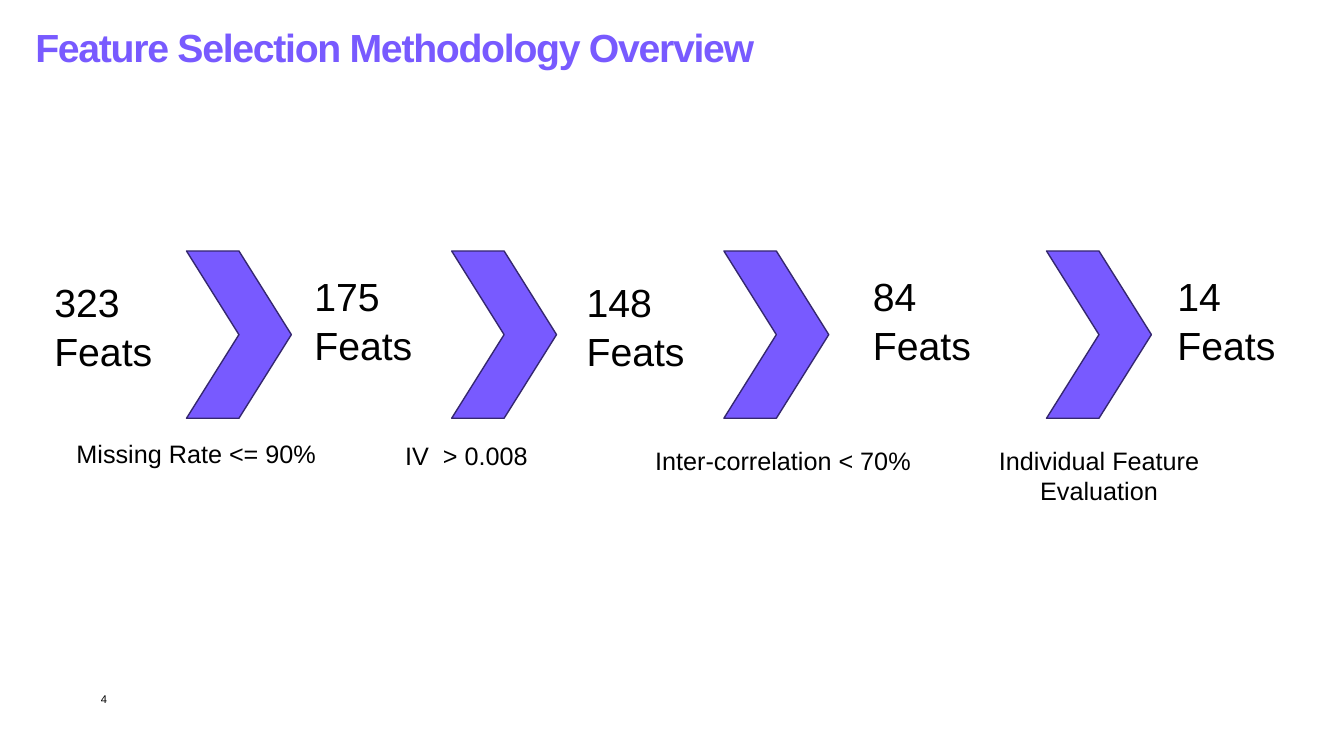
"""Build the feature selection overview slide."""
from dataclasses import dataclass

from pptx import Presentation
from pptx.dml.color import RGBColor
from pptx.enum import shapes, text
from pptx.util import Inches, Pt


@dataclass(frozen=True)
class Theme:
    font: str = "Arial"
    ink: RGBColor = RGBColor(0x00, 0x00, 0x00)
    accent: RGBColor = RGBColor(0x78, 0x5A, 0xFF)
    outline: RGBColor = RGBColor(0x35, 0x27, 0x70)
    heading: int = 28
    criterion: int = 18
    footer: int = 8


@dataclass(frozen=True)
class Label:
    wording: str
    left: float
    top: float
    width: float
    height: float
    size: int
    color: RGBColor = Theme.ink
    bold: bool = False
    tracking: int = 0
    spacing: float = 1.0
    inset_x: float = 0.1
    inset_y: float = 0.05
    align: text.PP_ALIGN = text.PP_ALIGN.LEFT


@dataclass(frozen=True)
class Count:
    number: str
    left: float
    top: float


@dataclass(frozen=True)
class Criterion:
    wording: str
    left: float
    top: float
    width: float
    height: float = 0.4
    align: text.PP_ALIGN = text.PP_ALIGN.LEFT


THEME = Theme()
CHEVRON_LEFTS = (1.85, 4.48, 7.18, 10.38)
COUNTS = (
    Count("323", 0.44, 2.69),
    Count("175", 3.02, 2.63),
    Count("148", 5.72, 2.69),
    Count("84", 8.56, 2.63),
    Count("14", 11.58, 2.63),
)
CRITERIA = (
    Criterion("Missing Rate <= 90%", 0.66, 4.3, 2.72),
    Criterion("IV  > 0.008", 3.92, 4.32, 2.91),
    Criterion("Inter-correlation < 70%", 6.4, 4.37, 3.24),
    Criterion("Individual Feature Evaluation", 9.19, 4.37, 3.42, 0.71, text.PP_ALIGN.CENTER),
)


def add_label(slide, label: Label) -> None:
    """Add a text box with one paragraph per line of wording."""
    box = slide.shapes.add_textbox(
        Inches(label.left), Inches(label.top), Inches(label.width), Inches(label.height)
    )
    frame = box.text_frame
    frame.word_wrap = True
    frame.vertical_anchor = text.MSO_ANCHOR.TOP
    frame.margin_left = frame.margin_right = Inches(label.inset_x)
    frame.margin_top = frame.margin_bottom = Inches(label.inset_y)
    for index, line in enumerate(label.wording.split("\n")):
        paragraph = frame.add_paragraph() if index else frame.paragraphs[0]
        paragraph.alignment = label.align
        paragraph.line_spacing = label.spacing
        run = paragraph.add_run()
        run.text = line
        run.font.name = THEME.font
        run.font.size = Pt(label.size)
        run.font.bold = label.bold
        run.font.color.rgb = label.color
        if label.tracking:
            run.font._element.set("spc", str(label.tracking))


def add_chevron(slide, left: float) -> None:
    """Add one chevron of the selection flow."""
    chevron = slide.shapes.add_shape(
        shapes.MSO_SHAPE.CHEVRON, Inches(left), Inches(2.49), Inches(1.04), Inches(1.66)
    )
    chevron.shadow.inherit = False
    chevron.fill.solid()
    chevron.fill.fore_color.rgb = THEME.accent
    chevron.line.color.rgb = THEME.outline
    chevron.line.width = Pt(1)


def main() -> None:
    """Draw the slide and save it."""
    deck = Presentation()
    deck.slide_width, deck.slide_height = Inches(13.33), Inches(7.5)
    slide = deck.slides.add_slide(deck.slide_layouts[6])
    add_label(slide, Label(
        "Feature Selection Methodology Overview", 0.35, 0.08, 12.48, 0.92, THEME.heading,
        color=THEME.accent, bold=True, tracking=-90, spacing=1.1, inset_x=0, inset_y=0.1,
    ))
    for left in CHEVRON_LEFTS:
        add_chevron(slide, left)
    for count in COUNTS:
        add_label(slide, Label(
            f"{count.number}\nFeats", count.left, count.top, 1.59, 1.04, THEME.heading,
            spacing=1.04,
        ))
    for criterion in CRITERIA:
        add_label(slide, Label(
            criterion.wording, criterion.left, criterion.top, criterion.width,
            criterion.height, THEME.criterion, align=criterion.align,
        ))
    add_label(slide, Label("4", 1, 6.87, 2.92, 0.25, THEME.footer, inset_x=0, inset_y=0))
    deck.save("out.pptx")


if __name__ == "__main__":
    main()
